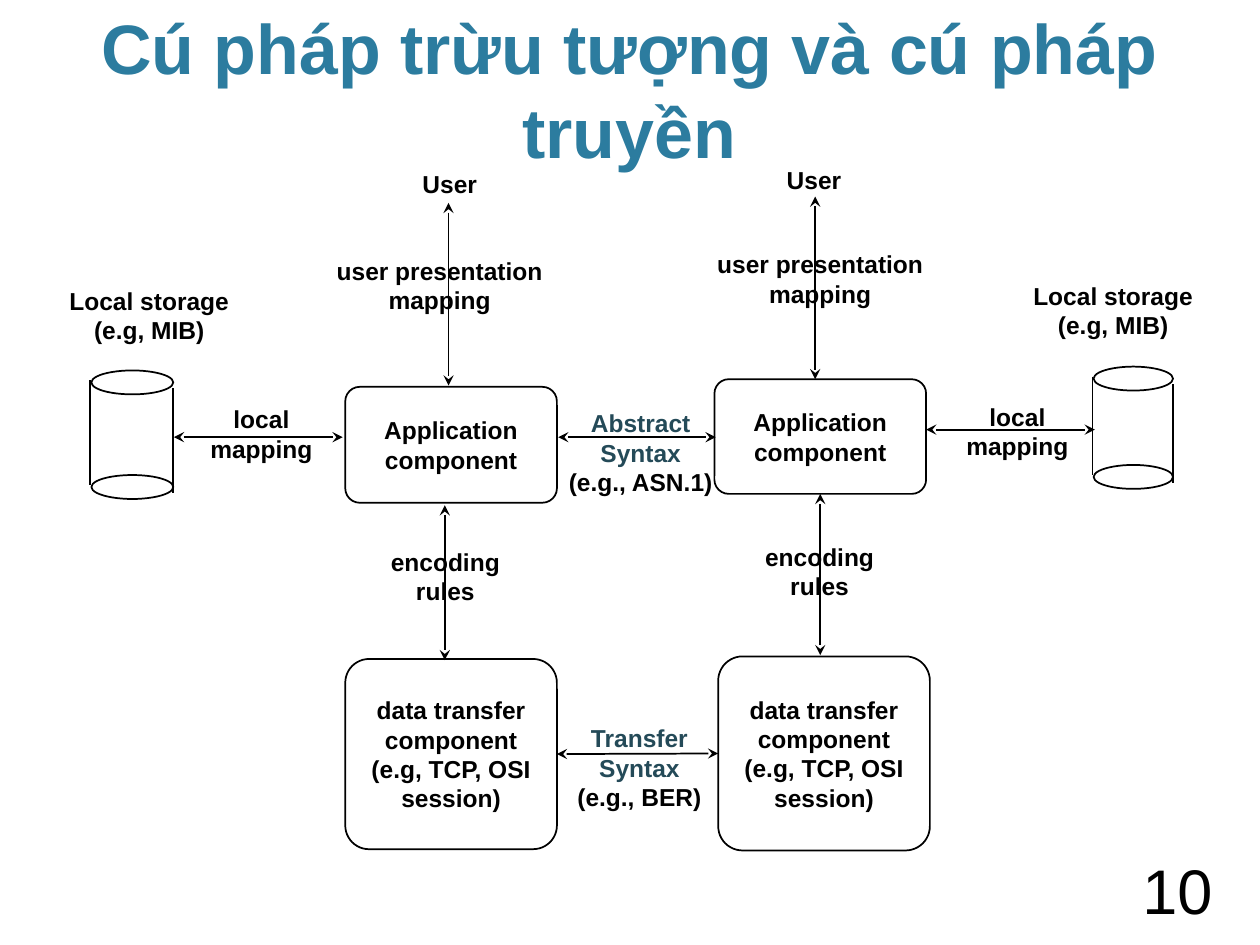
from dataclasses import dataclass
from typing import NamedTuple, Optional

from lxml.etree import SubElement as Sub
from pptx import Presentation
from pptx.dml.color import RGBColor as Rgb
from pptx.enum.shapes import MSO_CONNECTOR as Conn, MSO_SHAPE as Kind
from pptx.enum.text import MSO_ANCHOR as Anchor, PP_ALIGN as Align
from pptx.oxml.ns import qn
from pptx.util import Inches, Pt


@dataclass(frozen=True)
class Theme:
    font: str = "Arial"
    ink: str = "000000"
    paper: str = "FFFFFF"
    title: str = "2C7C9F"
    accent: str = "244A58"
    big: int = 40
    page: int = 36
    body: int = 14
    line: int = 1


class Area(NamedTuple):
    """Left, top, width and height in grid columns and rows."""
    x: float
    y: float
    w: float
    h: float


class Style(NamedTuple):
    size: int
    bold: bool = True
    color: str = "000000"
    align: Align = Align.CENTER
    anchor: Anchor = Anchor.TOP
    wrap: bool = False


class Label(NamedTuple):
    text: str
    areas: tuple[Area, ...]
    accent: int = 0  # number of leading lines in the accent colour


class Arrow(NamedTuple):
    start: tuple[float, float]
    end: tuple[float, float]
    first: Optional[tuple[str, int]] = None  # box name and side joined
    last: Optional[tuple[str, int]] = None


THEME = Theme()
BODY = Style(THEME.body)
COLS, ROWS = 100, 75
WIDE, HIGH = Inches(10), Inches(7.5)

APP = "Application\ncomponent"
DATA = "data transfer\ncomponent\n(e.g, TCP, OSI\nsession)"
BOXES = {
    "app right": (APP, Area(56.7, 30.1, 16.8, 9.1)),
    "data right": (DATA, Area(57, 52.1, 16.8, 15.4)),
    "data left": (DATA, Area(27.4, 52.3, 16.8, 15.1)),
    "app left": (APP, Area(27.4, 30.7, 16.8, 9.2)),
}
DRUMS = (Area(7.25, 29.4, 6.5, 10.2), Area(86.8, 29.1, 6.3, 9.7))
ARROWS = (
    # local mapping
    Arrow((13.8, 34.7), (27.2, 34.7)),
    Arrow((73.5, 34.1), (86.9, 34.1)),
    # abstract and transfer syntax
    Arrow((44.3, 34.7), (56.8, 34.7)),
    Arrow((44.3, 59.9), (56.9, 59.9), ("data left", 3), ("data right", 1)),
    # encoding rules
    Arrow((35.3, 40.1), (35.3, 52.4)),
    Arrow((65.1, 39.3), (65.1, 52), ("app right", 2)),
    # user presentation mapping
    Arrow((35.6, 16.1), (35.6, 30.6)),
    Arrow((64.7, 15.6), (64.7, 30.1)),
)
LABELS = (
    Label("Local storage\n(e.g, MIB)",
          (Area(4.5, 22.2, 14.7, 5.7), Area(81, 21.8, 14.7, 5.7))),
    Label("User", (Area(32.5, 12.9, 6.4, 3.3), Area(61.4, 12.6, 6.4, 3.3))),
    Label("user presentation\nmapping",
          (Area(25.7, 19.8, 18.4, 5.7), Area(55.9, 19.3, 18.4, 5.7))),
    Label("local\nmapping",
          (Area(15.7, 31.6, 10.1, 5.7), Area(75.7, 31.4, 10.1, 5.7))),
    Label("encoding\nrules",
          (Area(30, 42.9, 10.7, 5.7), Area(59.7, 42.5, 10.7, 5.7))),
    Label("Abstract\nSyntax\n(e.g., ASN.1)", (Area(44.1, 31.9, 13.5, 8),), 2),
    Label("Transfer\nSyntax\n(e.g., BER)", (Area(44.8, 56.9, 11.9, 8),), 2),
)


def col(n: float) -> int:
    return round(WIDE * n / COLS)


def row(n: float) -> int:
    return round(HIGH * n / ROWS)


def place(area: Area) -> tuple[int, int, int, int]:
    return col(area.x), row(area.y), col(area.w), row(area.h)


def put(item, values: dict) -> None:
    for name, value in values.items():
        setattr(item, name, value)


def write(shape, text: str, style: Style, accent: int = 0) -> None:
    frame = shape.text_frame
    frame.text = text
    put(frame, {"word_wrap": style.wrap, "vertical_anchor": style.anchor})
    for i, para in enumerate(frame.paragraphs):
        para.alignment = style.align
        for run in para.runs:
            put(run.font, {"name": THEME.font, "size": Pt(style.size),
                           "bold": style.bold})
            shade = THEME.accent if i < accent else style.color
            run.font.color.rgb = Rgb.from_string(shade)


def note(slide, area: Area, text: str, style: Style, accent: int = 0) -> None:
    write(slide.shapes.add_textbox(*place(area)), text, style, accent)


def ink(line) -> None:
    line.color.rgb = Rgb.from_string(THEME.ink)
    line.width = Pt(THEME.line)


def solid(slide, kind: Kind, area: Area):
    shape = slide.shapes.add_shape(kind, *place(area))
    shape.shadow.inherit = False
    shape.fill.solid()
    shape.fill.fore_color.rgb = Rgb.from_string(THEME.paper)
    ink(shape.line)
    return shape


def box(slide, text: str, area: Area):
    shape = solid(slide, Kind.ROUNDED_RECTANGLE, area)
    shape.adjustments[0] = 0.125
    write(shape, text, BODY._replace(anchor=Anchor.MIDDLE))
    return shape


def rule(slide, start: tuple[float, float], end: tuple[float, float]):
    line = slide.shapes.add_connector(
        Conn.STRAIGHT, col(start[0]), row(start[1]), col(end[0]), row(end[1]))
    ink(line.line)
    Sub(line._element.spPr, qn("a:effectLst"))
    return line


def drum(slide, area: Area) -> None:
    cap = 1.9
    for top in (area.y, area.y + area.h - cap):
        solid(slide, Kind.OVAL, Area(area.x, top, area.w, cap))
    # The left wall starts a little higher than the right one
    for x, drop in ((area.x - 0.1, 0.8), (area.x + area.w, 1.4)):
        top = area.y + drop
        rule(slide, (x, top), (x, top + area.h - cap))


def link(slide, arrow: Arrow, boxes: dict) -> None:
    line = rule(slide, arrow.start, arrow.end)
    for tip in ("a:headEnd", "a:tailEnd"):
        Sub(line.line._get_or_add_ln(), qn(tip), type="stealth")
    for join, spot in ((line.begin_connect, arrow.first),
                       (line.end_connect, arrow.last)):
        if spot:
            join(boxes[spot[0]], spot[1])


def main() -> None:
    deck = Presentation()
    put(deck, {"slide_width": WIDE, "slide_height": HIGH})
    slide = deck.slides.add_slide(deck.slide_layouts[6])

    # Title and page number
    note(slide, Area(3.3, 4.2, 93.3, 10),
         "Cú pháp trừu tượng và cú pháp truyền",
         Style(THEME.big, color=THEME.title, anchor=Anchor.BOTTOM, wrap=True))
    note(slide, Area(86.4, 68.6, 10.8, 4), "10",
         Style(THEME.page, False, align=Align.RIGHT, anchor=Anchor.MIDDLE,
               wrap=True))

    # Components, storage, arrows and their labels
    boxes = {name: box(slide, *spec) for name, spec in BOXES.items()}
    for area in DRUMS:
        drum(slide, area)
    for arrow in ARROWS:
        link(slide, arrow, boxes)
    for label in LABELS:
        for area in label.areas:
            note(slide, area, label.text, BODY, label.accent)

    deck.save("out.pptx")


if __name__ == "__main__":
    main()
